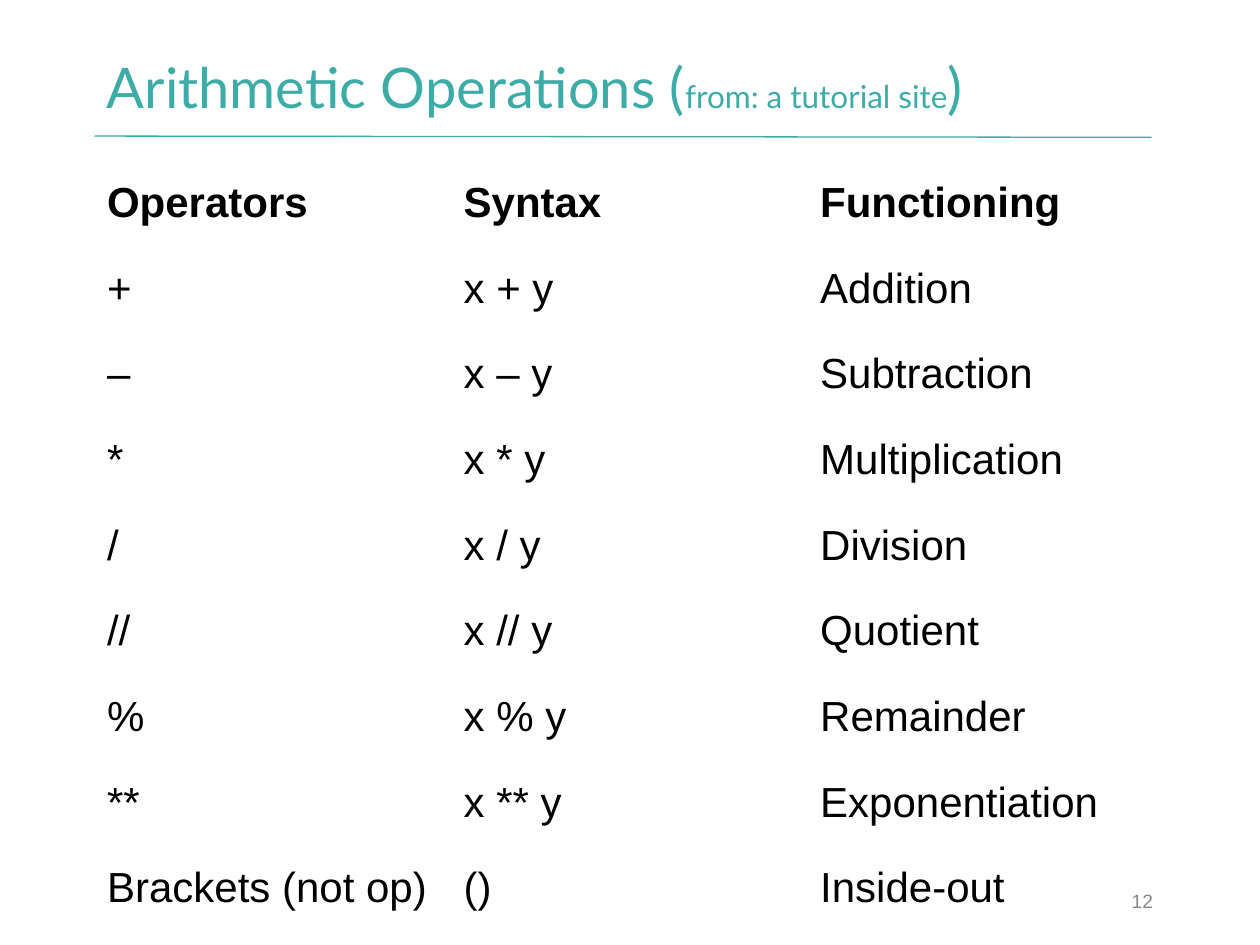
from pptx import Presentation
from pptx.dml.color import RGBColor
from pptx.enum.shapes import MSO_CONNECTOR as Link
from pptx.enum.text import MSO_ANCHOR as Anchor, PP_ALIGN as Align
from pptx.oxml.ns import qn
from pptx.util import Inches, Pt
from lxml.etree import SubElement

TEAL = RGBColor(0x3D, 0xAC, 0xA7)
GRAY = RGBColor(0x88, 0x88, 0x88)
BLACK = RGBColor(0, 0, 0)
WHITE = RGBColor(255, 255, 255)

TITLE = [("Arithmetic Operations (", 32), ("from: a tutorial site", 18), (")", 32)]
ROWS = [
    ("Operators", "Syntax", "Functioning"),
    ("+", "x + y", "Addition"),
    ("–", "x – y", "Subtraction"),
    ("*", "x * y", "Multiplication"),
    ("/", "x / y", "Division"),
    ("//", "x // y", "Quotient"),
    ("%", "x % y", "Remainder"),
    ("**", "x ** y", "Exponentiation"),
    ("Brackets (not op)", "()", "Inside-out"),
]


def style(para, name, color, size=None, bold=False):
    font = para.font
    font.name, font.bold = name, bold
    font.color.rgb = color
    if size:
        font.size = Pt(size)


def add_text(slide, box):
    """Add a wrapped, middle-anchored text box and return its paragraph."""
    frame = slide.shapes.add_textbox(*map(Inches, box)).text_frame
    frame.word_wrap = True
    frame.vertical_anchor = Anchor.MIDDLE
    return frame.paragraphs[0]


def add_title(slide, box):
    para = add_text(slide, box)
    para.line_spacing = 0.9
    style(para, "Lato", TEAL)
    for text, size in TITLE:
        run = para.add_run()
        run.text = text
        run.font.size = Pt(size)


def add_rule(slide, left, top, width):
    rule = slide.shapes.add_connector(
        Link.STRAIGHT, Inches(left), Inches(top),
        Inches(left + width), Inches(top + 0.01))
    rule.line.color.rgb = TEAL
    rule.line.width = Pt(0.75)
    SubElement(rule._element.spPr, qn("a:effectLst"))


def add_grid(slide, box):
    shape = slide.shapes.add_table(len(ROWS), len(ROWS[0]), *map(Inches, box))
    table = shape.table
    table.horz_banding = False
    for r, row in enumerate(ROWS):
        for c, text in enumerate(row):
            cell = table.cell(r, c)
            cell.text = text
            cell.fill.solid()
            cell.fill.fore_color.rgb = WHITE
            cell.vertical_anchor = Anchor.MIDDLE
            cell.margin_left = cell.margin_right = Inches(0.1)
            cell.margin_top = cell.margin_bottom = Inches(0.14)
            style(cell.text_frame.paragraphs[0], "Arial", BLACK, 24, r == 0)


def add_number(slide, box):
    para = add_text(slide, box)
    para.text = "12"
    para.alignment = Align.RIGHT
    style(para, "Arial", GRAY, 11)


def main():
    deck = Presentation()
    deck.slide_width, deck.slide_height = Inches(10), Inches(7.5)
    slide = deck.slides.add_slide(deck.slide_layouts[6])
    add_rule(slide, 0.75, 1.08, 8.39)
    add_title(slide, (0.75, 0.35, 7.49, 0.73))
    add_grid(slide, (0.75, 1.27, 8.49, 5.94))
    add_number(slide, (7, 6.95, 2.25, 0.4))
    deck.save("out.pptx")


if __name__ == "__main__":
    main()
